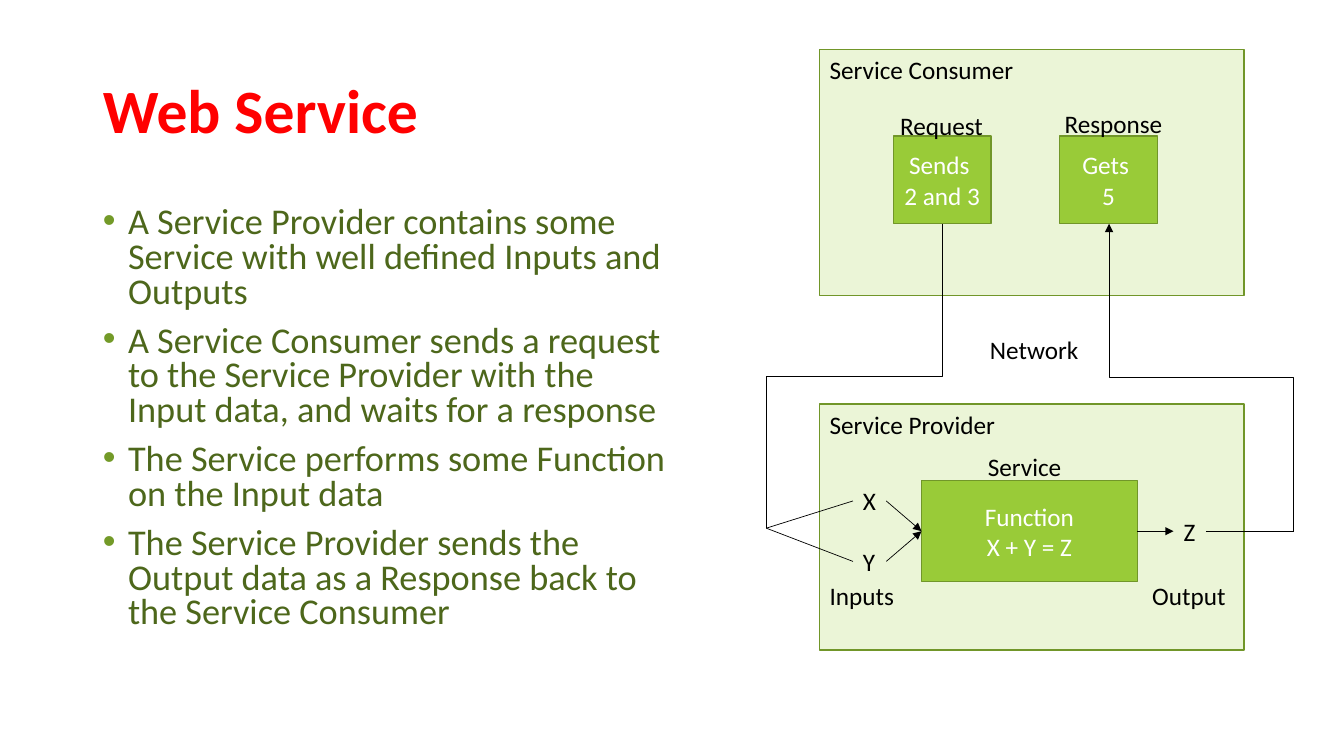
from dataclasses import dataclass

from lxml.etree import SubElement
from pptx import Presentation
from pptx.dml.color import RGBColor as Rgb
from pptx.enum.shapes import MSO_CONNECTOR as Link, MSO_SHAPE as Preset
from pptx.enum.text import MSO_ANCHOR as Anchor, MSO_AUTO_SIZE as Fit, PP_ALIGN as Align
from pptx.oxml.ns import qn
from pptx.util import Pt

PX = 9144
TOP, LEFT, BOTTOM, RIGHT = range(4)


@dataclass(frozen=True)
class Theme:
    """Colours, font and type sizes of the slide."""
    font: str = "Calibri"
    title: str = "FF0000"
    body: str = "4D671B"
    bullet: str = "739A28"
    panel: str = "EBF5D7"
    node: str = "99CB38"
    edge: str = "719629"
    ink: str = "000000"
    light: str = "FFFFFF"
    title_size: float = 44
    body_size: float = 25.9
    label_size: float = 18


@dataclass(frozen=True)
class Box:
    """A rectangle in px."""
    x: int
    y: int
    w: int
    h: int

    def inner(self, x, y, w, h):
        """Return a box placed relative to this one."""
        return Box(self.x + x, self.y + y, w, h)

    def emu(self):
        """Return left, top, width and height in EMU."""
        return [side * PX for side in (self.x, self.y, self.w, self.h)]


THEME = Theme()
POINTS = (
    "A Service Provider contains some Service with well defined Inputs and Outputs",
    "A Service Consumer sends a request to the Service Provider with the Input data, "
    "and waits for a response",
    "The Service performs some Function on the Input data",
    "The Service Provider sends the Output data as a Response back to the Service Consumer",
)


def write(frame, lines, size, color, align=Align.LEFT, bold=False):
    """Write one paragraph per line and return the paragraphs."""
    for index, line in enumerate(lines):
        paragraph = frame.paragraphs[0] if index == 0 else frame.add_paragraph()
        paragraph.alignment = align
        run = paragraph.add_run()
        run.text = line
        run.font.name, run.font.size, run.font.bold = THEME.font, Pt(size), bold
        run.font.color.rgb = Rgb.from_string(color)
    return frame.paragraphs


def place(holder, box, anchor):
    """Move a placeholder to a box and fix its text layout."""
    holder.left, holder.top, holder.width, holder.height = box.emu()
    frame = holder.text_frame
    frame.auto_size, frame.vertical_anchor = Fit.NONE, anchor
    return frame


def add_title(slide, box):
    """Fill the title placeholder."""
    frame = place(slide.shapes.title, box, Anchor.MIDDLE)
    heading, = write(frame, ["Web Service"], THEME.title_size, THEME.title, bold=True)
    heading.line_spacing = 0.9


def add_points(slide, box):
    """Fill the body placeholder with the bulleted points."""
    frame = place(slide.placeholders[1], box, Anchor.TOP)
    for point in write(frame, POINTS, THEME.body_size, THEME.body):
        point.line_spacing, point.space_before = 0.8, Pt(10)
        props = point._p.get_or_add_pPr()
        props.set("marL", str(25 * PX))
        props.set("indent", str(-25 * PX))
        tint = SubElement(props, qn("a:buClr"))
        SubElement(tint, qn("a:srgbClr"), val=THEME.bullet)
        SubElement(props, qn("a:buFont"), typeface="Arial")
        SubElement(props, qn("a:buChar"), char="•")


def add_rect(slide, box, fill):
    """Add an outlined rectangle."""
    rect = slide.shapes.add_shape(Preset.RECTANGLE, *box.emu())
    rect.shadow.inherit = False
    rect.fill.solid()
    rect.fill.fore_color.rgb = Rgb.from_string(fill)
    rect.line.color.rgb = Rgb.from_string(THEME.edge)
    rect.line.width = Pt(1)
    return rect


def add_panel(slide, box, name):
    """Add a pale panel named at its top left."""
    panel = add_rect(slide, box, THEME.panel)
    panel.text_frame.vertical_anchor = Anchor.TOP
    write(panel.text_frame, [name], THEME.label_size, THEME.ink)


def add_node(slide, box, lines):
    """Add a green node with centred text."""
    node = add_rect(slide, box, THEME.node)
    node.text_frame.vertical_anchor = Anchor.MIDDLE
    write(node.text_frame, lines, THEME.label_size, THEME.light, Align.CENTER)
    return node


def add_label(slide, box, text):
    """Add an unwrapped label."""
    label = slide.shapes.add_textbox(*box.emu())
    label.text_frame.word_wrap = False
    label.text_frame.auto_size = Fit.SHAPE_TO_FIT_TEXT
    write(label.text_frame, [text], THEME.label_size, THEME.ink)
    return label


def style_link(link, arrow):
    """Give a connector a thin black line and an optional arrowhead."""
    link.line.color.rgb = Rgb.from_string(THEME.ink)
    link.line.width = Pt(0.5)
    if arrow:
        SubElement(link.line._get_or_add_ln(), qn("a:tailEnd"), type="triangle")
    SubElement(link._element.spPr, qn("a:effectLst"))


def add_line(slide, start, end, arrow=False):
    """Join two ends, each a point in px or a shape with a side."""
    link = slide.shapes.add_connector(Link.STRAIGHT, 0, 0, 0, 0)
    if isinstance(start[0], int):
        link.begin_x, link.begin_y = (value * PX for value in start)
    else:
        link.begin_connect(*start)
    if isinstance(end[0], int):
        link.end_x, link.end_y = (value * PX for value in end)
    else:
        link.end_connect(*end)
    style_link(link, arrow)


def add_elbow(slide, start, end, arrow=False):
    """Add a leftward elbow that leaves and arrives vertically."""
    (x1, y1), (x2, y2) = start, end
    run, rise = abs(y2 - y1), abs(x2 - x1)
    link = slide.shapes.add_connector(Link.ELBOW, 0, 0, 0, 0)
    link.left, link.top = (x1 + x2 - run) * PX // 2, (y1 + y2 - rise) * PX // 2
    link.width, link.height = run * PX, rise * PX
    frame = link._element.spPr.find(qn("a:xfrm"))
    frame.set("rot", str((90 if y2 > y1 else 270) * 60000))
    if y2 < y1:
        frame.set("flipV", "1")
    style_link(link, arrow)


def add_consumer(slide, box):
    """Draw the consumer and return the points below its two nodes."""
    add_panel(slide, box, "Service Consumer")
    ports = []
    for x, lines in ((73, ("Sends ", "2 and 3")), (238, ("Gets ", "5"))):
        node = box.inner(x, 86, 97, 87)
        add_node(slide, node, lines)
        ports.append((node.x + node.w // 2 + 1, node.y + node.h))
    add_label(slide, box.inner(70, 56, 103, 40), "Request")
    add_label(slide, box.inner(233, 54, 118, 40), "Response")
    return ports


def add_provider(slide, box):
    """Draw the provider and return its outer input and output points."""
    add_panel(slide, box, "Service Provider")
    function = add_node(slide, box.inner(101, 76, 214, 100), ("Function", "X + Y = Z"))
    fork, outlet = (box.x - 53, box.y + 123), (box.x + 470, box.y + 126)
    for y, name in ((76, "X"), (136, "Y")):
        operand = add_label(slide, box.inner(33, y, 33, 40), name)
        add_line(slide, fork, (operand, LEFT))
        add_line(slide, (operand, RIGHT), (function, LEFT), arrow=True)
    result = add_label(slide, box.inner(351, 106, 32, 40), "Z")
    add_line(slide, (function, RIGHT), (result, LEFT), arrow=True)
    add_line(slide, (result, RIGHT), outlet)
    for x, y, w, name in ((157, 42, 94, "Service"), (0, 170, 85, "Inputs"),
                          (320, 170, 94, "Output")):
        add_label(slide, box.inner(x, y, w, 40), name)
    return fork, outlet


def add_diagram(slide, box):
    """Draw both parties and the network links between them."""
    request, response = add_consumer(slide, box.inner(53, 0, 421, 244))
    fork, outlet = add_provider(slide, box.inner(53, 352, 421, 244))
    add_elbow(slide, request, fork)
    add_elbow(slide, outlet, response, arrow=True)
    add_label(slide, box.inner(212, 278, 109, 40), "Network")


def main():
    """Build and save the slide."""
    deck = Presentation()
    deck.slide_width, deck.slide_height = 1333 * PX, 750 * PX
    slide = deck.slides.add_slide(deck.slide_layouts[1])
    add_title(slide, Box(92, 40, 1150, 145))
    add_points(slide, Box(92, 200, 584, 476))
    add_diagram(slide, Box(760, 49, 523, 596))
    deck.save("out.pptx")


if __name__ == "__main__":
    main()
